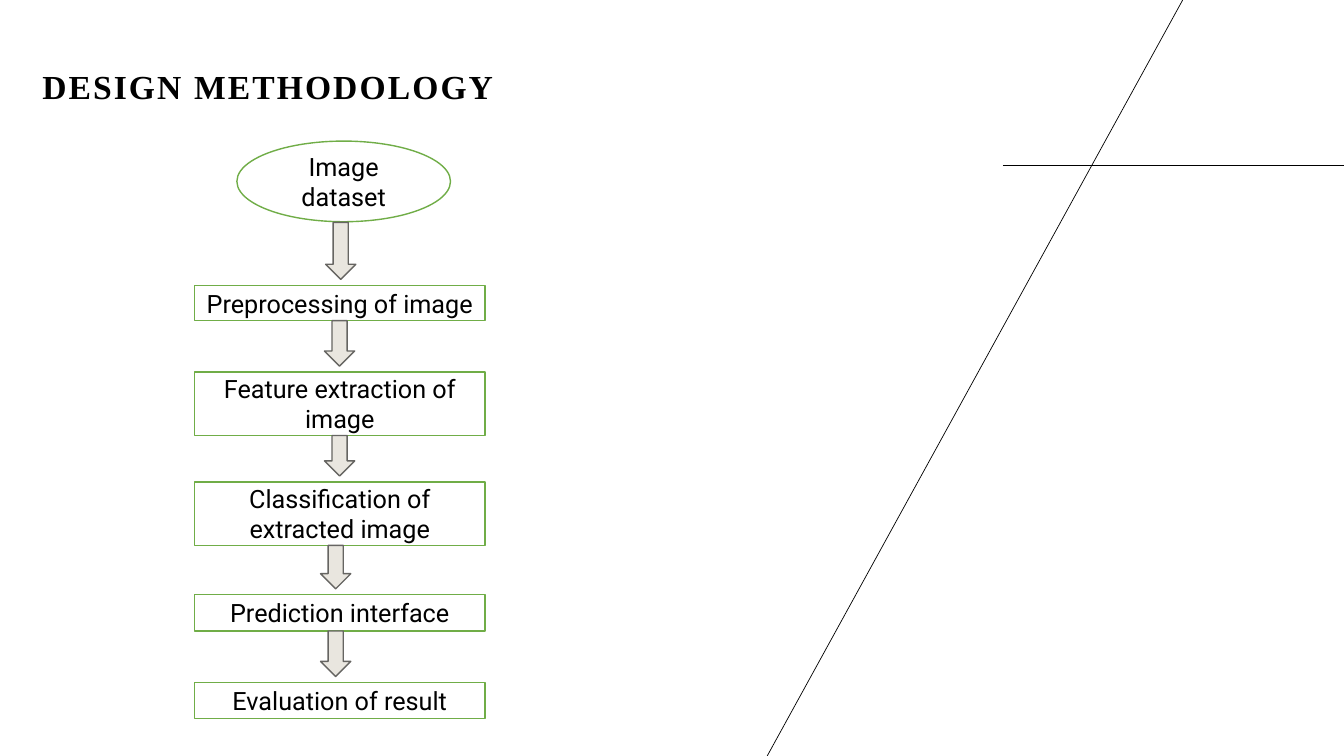
import pptx
import pptx.dml.color
import pptx.enum.shapes
import pptx.enum.text
import pptx.oxml.ns
import pptx.util
from dataclasses import dataclass
from lxml import etree

Pt = pptx.util.Pt
Shape = pptx.enum.shapes.MSO_SHAPE
Align = pptx.enum.text.PP_ALIGN
Anchor = pptx.enum.text.MSO_ANCHOR


@dataclass(frozen=True)
class Theme:
    ink: str = "000000"
    paper: str = "FFFFFF"
    step_border: str = "70AD47"
    arrow_fill: str = "E9E6DF"
    arrow_border: str = "666562"
    title_font: str = "Times New Roman"
    body_font: str = "Roboto"
    title_size: float = 24
    body_size: float = 18
    border: float = 1
    hairline: float = 0.5


def rgb(value):
    return pptx.dml.color.RGBColor.from_string(value)


class SlideBuilder:
    def __init__(self, slide, theme):
        self.slide = slide
        self.theme = theme

    def add_run(self, paragraph, text, font, size, bold=False):
        run = paragraph.add_run()
        run.text = text
        run.font.name = font
        run.font.size = Pt(size)
        run.font.bold = bold
        run.font.color.rgb = rgb(self.theme.ink)
        return run

    def title(self, text, left, top, width, height):
        heading = self.slide.shapes.title
        heading.left, heading.top = Pt(left), Pt(top)
        heading.width, heading.height = Pt(width), Pt(height)
        frame = heading.text_frame
        frame.auto_size = pptx.enum.text.MSO_AUTO_SIZE.NONE
        frame.word_wrap = True
        frame.vertical_anchor = Anchor.BOTTOM
        paragraph = frame.paragraphs[0]
        paragraph.alignment = Align.LEFT
        paragraph.line_spacing = 0.9
        run = self.add_run(paragraph, text, self.theme.title_font, self.theme.title_size, True)
        run.font._element.set("spc", "150")

    def line(self, x1, y1, x2, y2):
        rule = self.slide.shapes.add_connector(
            pptx.enum.shapes.MSO_CONNECTOR.STRAIGHT, Pt(x1), Pt(y1), Pt(x2), Pt(y2))
        rule.line.color.rgb = rgb(self.theme.ink)
        rule.line.width = Pt(self.theme.hairline)
        etree.SubElement(rule._element.spPr, pptx.oxml.ns.qn("a:effectLst"))

    def shape(self, kind, left, top, width, height, fill, border):
        item = self.slide.shapes.add_shape(kind, Pt(left), Pt(top), Pt(width), Pt(height))
        item.shadow.inherit = False
        item.fill.solid()
        item.fill.fore_color.rgb = rgb(fill)
        item.line.color.rgb = rgb(border)
        item.line.width = Pt(self.theme.border)
        return item

    def step(self, kind, text, left, top, width, height):
        box = self.shape(kind, left, top, width, height, self.theme.paper, self.theme.step_border)
        frame = box.text_frame
        frame.word_wrap = True
        frame.vertical_anchor = Anchor.MIDDLE
        paragraph = frame.paragraphs[0]
        paragraph.alignment = Align.CENTER
        self.add_run(paragraph, text, self.theme.body_font, self.theme.body_size)

    def arrow(self, left, top, height):
        self.shape(Shape.DOWN_ARROW, left, top, 21.6, height,
                   self.theme.arrow_fill, self.theme.arrow_border)


def main():
    deck = pptx.Presentation()
    deck.slide_width, deck.slide_height = Pt(960), Pt(540)
    builder = SlideBuilder(deck.slides.add_slide(deck.slide_layouts[5]), Theme())

    builder.line(716.4, 118, 960, 118)
    builder.line(844.8, 0, 548, 540)
    builder.title("DESIGN METHODOLOGY", 23, 32.4, 440.6, 47.5)

    builder.step(Shape.OVAL, "Image dataset", 169.2, 100.8, 152.6, 57.6)
    steps = [
        ("Preprocessing of image", 203.8, 25.2),
        ("Feature extraction of image", 265.7, 45.4),
        ("Classification of extracted image", 344.2, 45.4),
        ("Prediction interface", 424.8, 25.9),
        ("Evaluation of result", 487.4, 25.9),
    ]
    arrow_lefts = [232.6, 231.8, 231.8, 229, 229]
    arrow_gap = 4.2
    previous_bottom = 158.8
    for (text, top, height), arrow_left in zip(steps, arrow_lefts):
        builder.step(Shape.RECTANGLE, text, 139, top, 207.4, height)
        builder.arrow(arrow_left, previous_bottom, top - arrow_gap - previous_bottom)
        previous_bottom = top + height

    deck.save("out.pptx")


if __name__ == "__main__":
    main()
